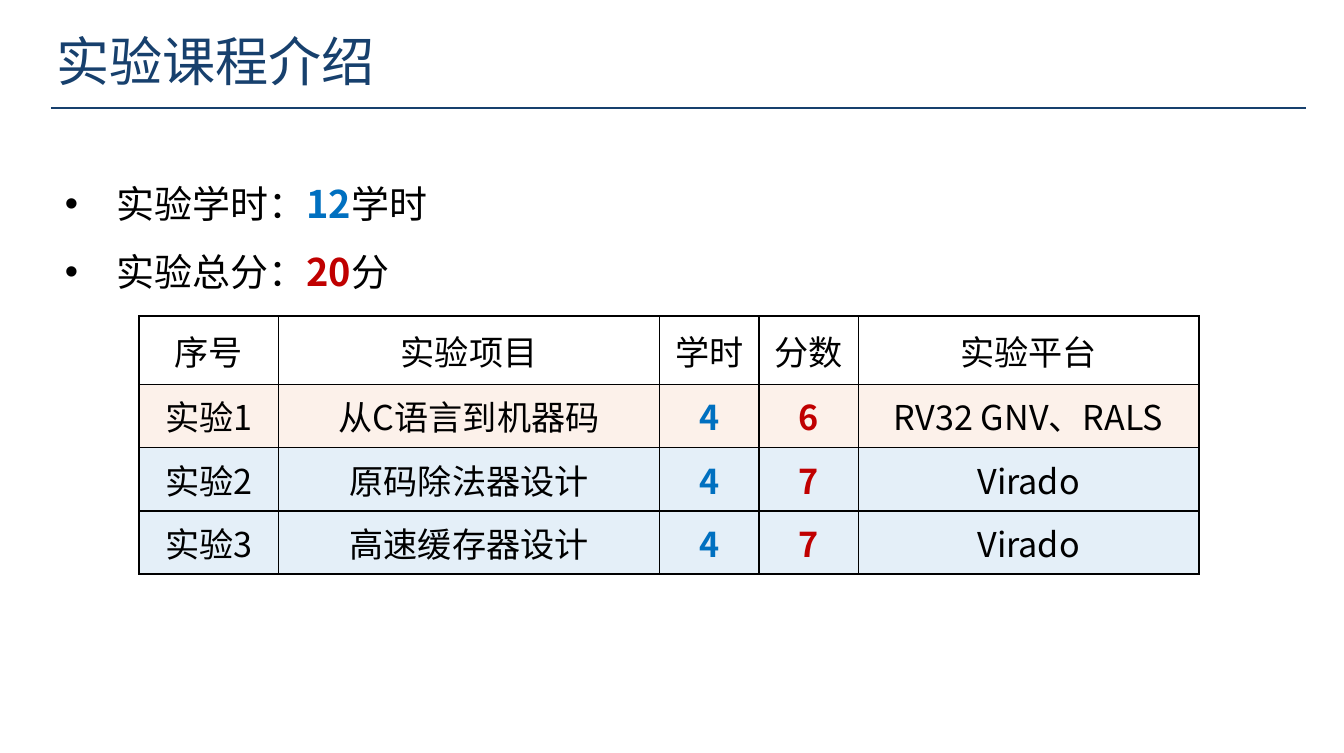
from pptx import Presentation, util as u
from pptx.dml.color import RGBColor
from pptx.enum import shapes, text
from pptx.oxml import parse_xml
from pptx.oxml.ns import nsdecls

Pt = u.Pt
NAVY, BLACK, BLUE, RED = "17406D", "000000", "0070C0", "C00000"
PEACH, SKY = ("FBE5D6", 50), ("DEEBF7", 80)


def tint(fill, hue):
    fill.solid()
    fill.fore_color.rgb = RGBColor.from_string(hue)


def node(xml):
    """Parse one drawing element, with its namespace added."""
    head, rest = xml.split(" ", 1)
    return parse_xml(f"{head} {nsdecls('a')} {rest}")


class Deck:
    """Holds the font and the current slide."""

    def __init__(self, wide, high, font):
        self.prs = Presentation()
        self.prs.slide_width, self.prs.slide_height = Pt(wide), Pt(high)
        self.slide = self.prs.slides.add_slide(self.prs.slide_layouts[1])
        self.font = font

    def run(self, para, words, size, hue=BLACK, bold=False):
        run = para.add_run()
        run.text = words
        font = run.font
        font.name, font.size, font.bold = self.font, Pt(size), bold
        tint(font.fill, hue)
        font._element.append(node(f'<a:ea typeface="{self.font}"/>'))

    def frame(self, holder, box, anchor):
        """Move a placeholder and return its text frame."""
        holder.left, holder.top, holder.width, holder.height = map(Pt, box)
        frame = holder.text_frame
        frame.word_wrap = True
        frame.auto_size = text.MSO_AUTO_SIZE.NONE
        frame.vertical_anchor = anchor
        return frame

    def title(self, words, box):
        frame = self.frame(self.slide.shapes.title, box, text.MSO_ANCHOR.MIDDLE)
        para = frame.paragraphs[0]
        para.alignment = text.PP_ALIGN.LEFT
        self.run(para, words, 28, NAVY)

    def list(self, items, box):
        frame = self.frame(self.slide.placeholders[1], box, text.MSO_ANCHOR.TOP)
        for i, runs in enumerate(items):
            para = frame.add_paragraph() if i else frame.paragraphs[0]
            para.line_spacing, para.space_before = Pt(36), Pt(0)
            for run in runs:
                self.run(para, run[0], 20, *run[1:])

    def rule(self, left, right, top):
        line = self.slide.shapes.add_connector(
            shapes.MSO_CONNECTOR.STRAIGHT, Pt(left), Pt(top), Pt(right), Pt(top))
        tint(line.line.fill, NAVY)
        line.line.width = Pt(1)
        line._element.spPr.append(node("<a:effectLst />"))

    def cell(self, cell, words, hue, bold, shade):
        cell.vertical_anchor = text.MSO_ANCHOR.MIDDLE
        para = cell.text_frame.paragraphs[0]
        para.alignment = text.PP_ALIGN.CENTER
        self.run(para, words, 18, hue, bold)
        props = cell._tc.get_or_add_tcPr()
        for side in "LRTB":
            props.append(node(
                f'<a:ln{side} w="{Pt(1)}"><a:solidFill><a:srgbClr val="{BLACK}"/>'
                f"</a:solidFill></a:ln{side}>"))
        if shade:
            back, alpha = shade
            tint(cell.fill, back)
            props.find("{*}solidFill/{*}srgbClr").append(
                node(f'<a:alpha val="{alpha * 1000}"/>'))
        else:
            cell.fill.background()

    def table(self, rows, shades, left, top, wides, highs):
        grid = self.slide.shapes.add_table(
            len(rows), len(wides), Pt(left), Pt(top),
            Pt(sum(wides)), Pt(sum(highs))).table
        grid.first_row = grid.horz_banding = False
        for col, wide in zip(grid.columns, wides):
            col.width = Pt(wide)
        for r, (row, shade) in enumerate(zip(rows, shades)):
            grid.rows[r].height = Pt(highs[r])
            for c, words in enumerate(row):
                hue = {2: BLUE, 3: RED}.get(c, BLACK) if r else BLACK
                self.cell(grid.cell(r, c), words, hue, hue != BLACK, shade)


def main():
    deck = Deck(708.5, 396.7, "Noto Sans CJK SC")
    deck.title("实验课程介绍", (22.7, 11.5, 400, 41))
    deck.rule(26.9, 688.7, 56.9)
    deck.list([
        [("实验学时：",), ("12", BLUE, True), ("学时",)],
        [("实验总分：",), ("20", RED, True), ("分",)],
    ], (27, 79.4, 231, 79.2))
    deck.table([
        ["序号", "实验项目", "学时", "分数", "实验平台"],
        ["实验1", "从C语言到机器码", "4", "6", "RV32 GNV、RALS"],
        ["实验2", "原码除法器设计", "4", "7", "Virado"],
        ["实验3", "高速缓存器设计", "4", "7", "Virado"],
    ], [None, PEACH, SKY, SKY], 73.4, 166.5,
        [73.4, 201, 52.4, 52.4, 179.4], [36, 33.3, 33.3, 33.3])
    deck.prs.save("out.pptx")


if __name__ == "__main__":
    main()
